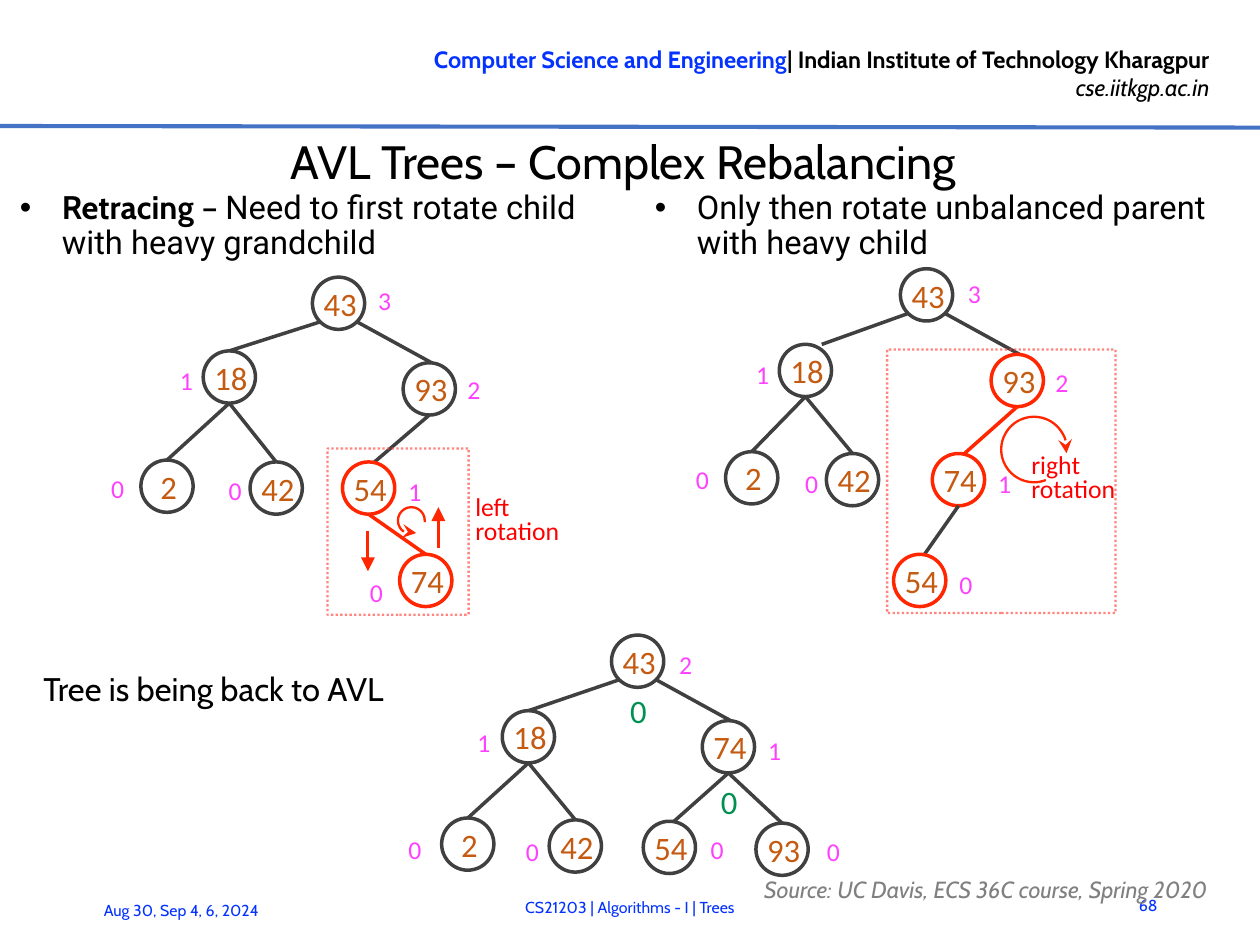
from lxml import etree
from pptx import Presentation
from pptx.dml.color import RGBColor
from pptx.enum.dml import MSO_LINE
from pptx.enum.shapes import MSO_CONNECTOR, MSO_SHAPE
from pptx.enum.text import MSO_ANCHOR, PP_ALIGN
from pptx.oxml.ns import qn
from pptx.util import Pt

STRAIGHT = MSO_CONNECTOR.STRAIGHT
OVAL, RECTANGLE, ARC = MSO_SHAPE.OVAL, MSO_SHAPE.RECTANGLE, MSO_SHAPE.ARC
DOTTED = MSO_LINE.ROUND_DOT
TOP, MIDDLE = MSO_ANCHOR.TOP, MSO_ANCHOR.MIDDLE
LEFT, CENTER, RIGHT = PP_ALIGN.LEFT, PP_ALIGN.CENTER, PP_ALIGN.RIGHT

BLACK = RGBColor(0x00, 0x00, 0x00)
BLUE = RGBColor(0x04, 0x32, 0xFF)
RULE_BLUE = RGBColor(0x44, 0x72, 0xC4)
GRAY = RGBColor(0x80, 0x80, 0x80)
DARK = RGBColor(0x40, 0x40, 0x40)
RED = RGBColor(0xFF, 0x26, 0x00)
LABEL_RED = RGBColor(0xFF, 0x00, 0x00)
FRAME_RED = RGBColor(0xFF, 0x4C, 0x41)
BROWN = RGBColor(0xC5, 0x5A, 0x11)
PINK = RGBColor(0xFF, 0x40, 0xFF)
GREEN = RGBColor(0x00, 0x90, 0x51)

HEADING = {"name": "Cabin", "size": Pt(10.1), "bold": True}
TITLE = {"name": "Cabin", "size": Pt(20)}
BODY = {"name": "Cabin", "size": Pt(14)}
BULLET = {"name": "Roboto", "size": Pt(14)}
FOOTER = {"name": "Cabin", "size": Pt(6.8)}
SOURCE = {"name": "Cabin", "size": Pt(10), "italic": True}
KEY = {"name": "Calibri", "size": Pt(14)}
HEIGHT = {"name": "Calibri", "size": Pt(11)}

RADIUS = 11.2
ROOT_EDGE = 8  # where edges leave the root, diagonally below its centre

# key: (x, y, parent, edge end shift, height, height offset, colour)
BEFORE = {
    "43": (105.1, 12, None, 0, "3", (19.8, -1.4), DARK),
    "18": (58.3, 43.6, "43", 0, "1", (-18.4, 1.4), DARK),
    "93": (144, 48.7, "43", 1, "2", (19.1, 0), DARK),
    "2": (31.6, 90.4, "18", 0, "0", (-21.2, 0.7), DARK),
    "42": (78.4, 91.2, "18", 0, "0", (-17.6, 0.7), DARK),
    "54": (118, 91.2, "93", 2.5, "1", (19.8, 1.4), RED),
    "74": (142.5, 130.8, "54", 0, "0", (-21.2, 5), RED),
}
BETWEEN = {
    "43": (107.1, 12, None, 0, "3", (20.5, -0.7), DARK),
    "18": (55.2, 44.4, "43", 7, "1", (-18.4, 1.4), DARK),
    "93": (146, 48.7, "43", 1, "2", (19.1, 0.7), RED),
    "2": (32.2, 90.4, "18", 0, "0", (-21.2, 0.7), DARK),
    "42": (75.4, 91.2, "18", 0, "0", (-17.6, 1.4), DARK),
    "74": (120.8, 91.2, "93", 2.5, "1", (19.8, 1.4), RED),
    "54": (104.2, 134.4, "74", 2, "0", (19.8, 1.4), RED),
}
AFTER = {
    "43": (105.1, 12, None, 0, "2", (20.5, 1.4), DARK),
    "18": (58.3, 44.4, "43", 0, "1", (-19.1, 2.2), DARK),
    "74": (144, 48.7, "43", 1, "1", (19.8, 1.4), DARK),
    "2": (32.3, 90.4, "18", 0, "0", (-22.7, 2.2), DARK),
    "42": (78.4, 91.2, "18", 0, "0", (-18.4, 2.2), DARK),
    "54": (118.7, 91.8, "74", 2, "0", (20.5, 0.7), DARK),
    "93": (167, 92.6, "74", 0, "0", (22, 0.7), DARK),
}


def add_text(slide, box, paragraphs, align=LEFT, anchor=TOP, wrap=True,
             insets=(7.2, 3.6), layout=None):
    """Each paragraph is a list of (text, font format, colour) runs."""
    frame = slide.shapes.add_textbox(*map(Pt, box)).text_frame
    frame.word_wrap, frame.vertical_anchor = wrap, anchor
    frame.margin_left = frame.margin_right = Pt(insets[0])
    frame.margin_top = frame.margin_bottom = Pt(insets[1])
    for index, runs in enumerate(paragraphs):
        paragraph = frame.add_paragraph() if index else frame.paragraphs[0]
        paragraph.alignment = align
        for name, value in (layout or {}).items():
            setattr(paragraph, name, value)
        for text, fmt, color in runs:
            run = paragraph.add_run()
            run.text = text
            for name, value in fmt.items():
                setattr(run.font, name, value)
            run.font.color.rgb = color
    return frame


def add_centered(slide, x, y, text, fmt, color):
    add_text(slide, (x - 14.4, y - 12.2, 28.8, 24.4), [[(text, fmt, color)]],
             CENTER, MIDDLE, wrap=False)


def add_arrowhead(line_owner, end, kind):
    line = line_owner.line._get_or_add_ln()
    etree.SubElement(line, qn(f"a:{end}End"), type=kind)


def add_line(slide, start, end, color, width):
    line = slide.shapes.add_connector(STRAIGHT, *map(Pt, (*start, *end)))
    line.line.color.rgb, line.line.width = color, Pt(width)
    etree.SubElement(line._element.spPr, qn("a:effectLst"))
    return line


def add_outline(slide, preset, box, color, width):
    shape = slide.shapes.add_shape(preset, *map(Pt, box))
    shape.shadow.inherit = False
    shape.fill.background()
    shape.line.color.rgb, shape.line.width = color, Pt(width)
    return shape


def draw_header(slide, box):
    left, top, width, height = box
    add_text(slide, (left + 137.5, top + 15.8, 388, 31.7), [
        [("Computer Science and Engineering", HEADING, BLUE),
         ("| Indian Institute of Technology Kharagpur", HEADING, BLACK)],
        [("cse.iitkgp.ac.in", {**HEADING, "bold": False, "italic": True}, BLACK)],
    ], RIGHT)
    add_line(slide, (left, top + 54), (left + width, top + 54.7), RULE_BLUE, 1.75)
    add_text(slide, (left + 17.3, top + 56.9, 500, 24.5),
             [[("AVL Trees – Complex Rebalancing", TITLE, BLACK)]],
             CENTER, MIDDLE, insets=(0, 0.7))


def draw_footer(slide, box):
    left, top, width, height = box
    for x, y, w, text, align in (
            (37.4, 7.2, 94.3, "Aug 30, Sep 4, 6, 2024", LEFT),
            (89.3, 5.8, 361.4, "CS21203 | Algorithms - I | Trees", CENTER),
            (476.6, 5.1, 26.6, "68", RIGHT)):
        add_text(slide, (left + x, top + y, w, 21.6),
                 [[(text, FOOTER, BLUE)]], align, MIDDLE)
    add_text(slide, (left + 320.4, top, 217.4, 12.2),
             [[("Source: UC Davis, ECS 36C course, Spring 2020", SOURCE, GRAY)]],
             anchor=MIDDLE, layout={"line_spacing": Pt(18), "space_after": Pt(3)})


def draw_bullet(slide, box, runs):
    frame = add_text(slide, box, [runs], layout={"line_spacing": 0.9})
    properties = frame.paragraphs[0]._p.get_or_add_pPr()
    properties.set("marL", str(Pt(18)))
    properties.set("indent", str(-Pt(18)))
    etree.SubElement(properties, qn("a:buFont"), typeface="Arial")
    etree.SubElement(properties, qn("a:buChar"), char="•")


def draw_tree(slide, box, nodes):
    left, top = box[:2]
    for key, (x, y, parent, shift, height, offset, color) in nodes.items():
        x, y = left + x, top + y
        # Edge from the parent
        if parent:
            parent_x, parent_y, grandparent = nodes[parent][:3]
            start_x, start_y = left + parent_x, top + parent_y + RADIUS
            if grandparent is None:
                start_x += ROOT_EDGE if x > start_x else -ROOT_EDGE
                start_y += ROOT_EDGE - RADIUS
            edge_color = color if nodes[parent][6] == RED and key == "74" else DARK
            add_line(slide, (start_x, start_y), (x + shift, y - RADIUS), edge_color, 1.5)
        # Node with its key and height
        add_outline(slide, OVAL, (x - RADIUS, y - RADIUS, 2 * RADIUS, 2 * RADIUS),
                    color, 1.5)
        add_centered(slide, x + 0.7, y, key, KEY, BROWN)
        add_centered(slide, x + offset[0], y + offset[1], height, HEIGHT, PINK)


def draw_rotation(slide, box, direction, label_at, arc_box, arc_end, arrows=()):
    left, top = box[:2]
    # Dotted frame around the rotated nodes
    frame = add_outline(slide, RECTANGLE, box, FRAME_RED, 1)
    frame.line.dash_style = DOTTED
    frame_color = frame.line._get_or_add_ln().find(".//" + qn("a:srgbClr"))
    etree.SubElement(frame_color, qn("a:alpha"), val="67000")
    # Turning arrow
    x, y, size = arc_box
    arc = add_outline(slide, ARC, (left + x, top + y, size, size), RED, 1)
    arc.adjustments[0], arc.adjustments[1] = 41.215, 3.879
    add_arrowhead(arc, arc_end, "stealth")
    # Up and down arrows
    for x, start, end in arrows:
        arrow = add_line(slide, (left + x, top + start), (left + x, top + end), RED, 1.25)
        add_arrowhead(arrow, "tail", "triangle")
    add_text(slide, (left + label_at[0], top + label_at[1], 51.1, 28),
             [[(word, HEIGHT, LABEL_RED)] for word in (direction, "rotation")],
             layout={"line_spacing": Pt(10)})


def draw_result(slide, box):
    left, top = box[:2]
    add_text(slide, (left - 156.7, top + 11.6, 179.3, 26),
             [[("Tree is being back to AVL", BODY, BLACK)]],
             layout={"line_spacing": Pt(17), "space_after": Pt(2)})
    draw_tree(slide, box, AFTER)
    for x, y in ((105.4, 33.2), (144.3, 72)):
        add_centered(slide, left + x, top + y, "0", KEY, GREEN)


def main():
    deck = Presentation()
    deck.slide_width, deck.slide_height = Pt(540), Pt(405)
    slide = deck.slides.add_slide(deck.slide_layouts[6])
    draw_header(slide, (0, 0, 540, 82))
    draw_footer(slide, (0, 372.2, 540, 32))
    draw_bullet(slide, (1.4, 78.5, 252.7, 38.9), [
        ("Retracing", {**BODY, "bold": True}, BLACK), (" – ", BODY, BLACK),
        ("Need to first rotate child with heavy grandchild", BULLET, BLACK)])
    draw_bullet(slide, (273.6, 78.5, 252.7, 38.9), [
        ("Only then rotate unbalanced parent with heavy child", BULLET, BLACK)])
    draw_tree(slide, (40, 118, 170, 145), BEFORE)
    draw_rotation(slide, (140.4, 192.2, 60.5, 71.3), "left", (56.2, 18),
                  (30.2, 25.2, 11.5), "head", ((47.5, 42.5, 25.2), (17.3, 35.3, 52.6)))
    draw_tree(slide, (290, 114.4, 180, 148), BETWEEN)
    draw_rotation(slide, (380.2, 149.8, 97.9, 113), "right", (54.7, 42.4),
                  (48.9, 28.8, 28.1), "tail")
    draw_result(slide, (168.2, 271.4, 200, 106))
    deck.save("out.pptx")


if __name__ == "__main__":
    main()
